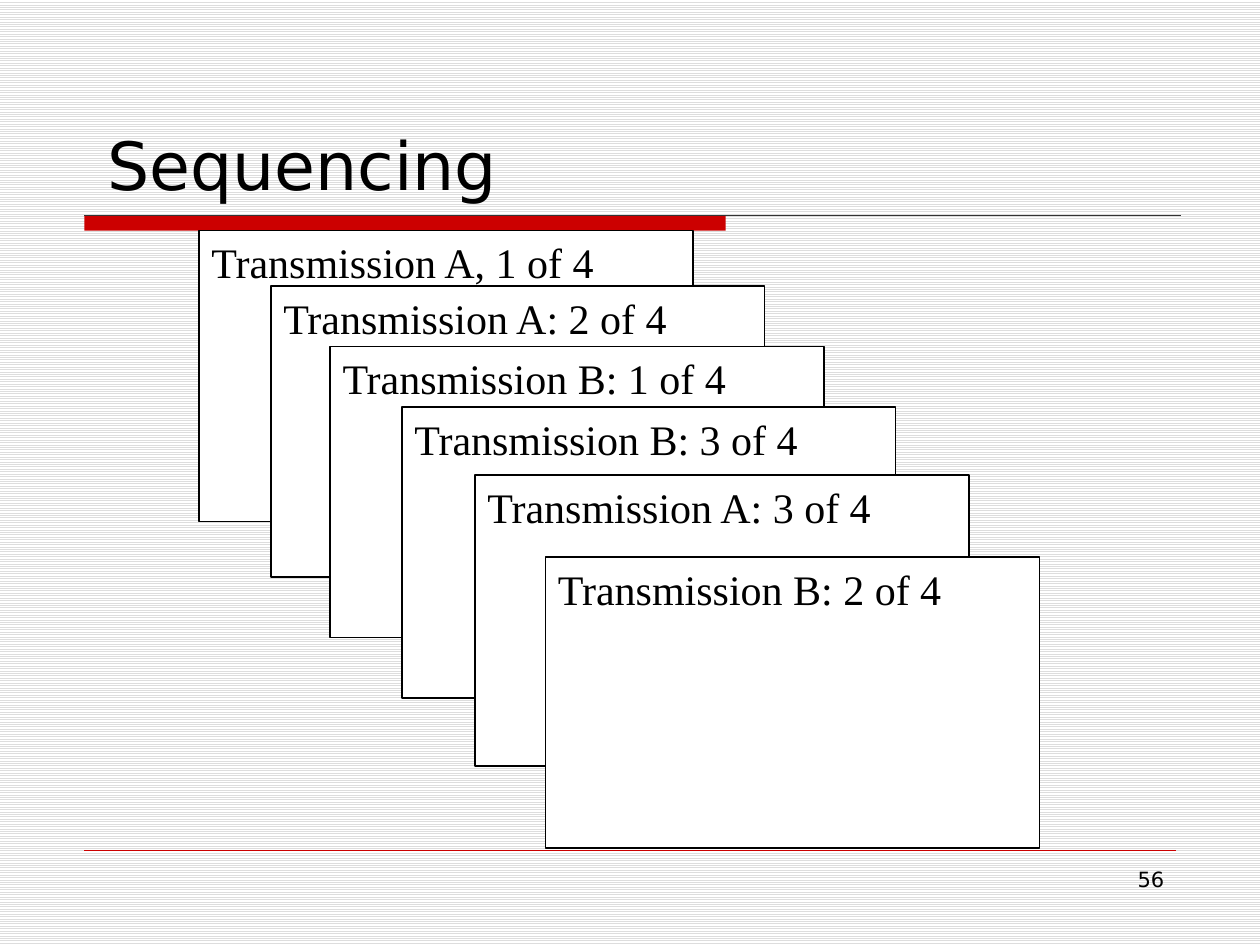
from lxml import etree
from pptx import Presentation
from pptx import util as u
from pptx.dml.color import RGBColor
from pptx.enum import dml, shapes, text

TITLE = "Sequencing"
NUMBER = "56"
CARDS = [
    ("Transmission A, 1 of 4", 1.58, 1.83),
    ("Transmission A: 2 of 4", 2.15, 2.27),
    ("Transmission B: 1 of 4", 2.62, 2.75),
    ("Transmission B: 3 of 4", 3.19, 3.23),
    ("Transmission A: 3 of 4", 3.77, 3.77),
    ("Transmission B: 2 of 4", 4.33, 4.42),
]
CARD_SIZE = (3.92, 2.31)
RULES = [(1.71, 9.37, "333333", 0.75), (6.75, 9.33, "CC0000", 0.25)]
LEFT = 0.67
SANS, SERIF = "DejaVu Sans", "Times New Roman"


def rgb(value):
    return RGBColor.from_string(value)


def inches(*values):
    return [u.Inches(v) for v in values]


def write(sp, content, font, size, align="LEFT", anchor="TOP"):
    tf = sp.text_frame
    frame = {
        "word_wrap": True,
        "auto_size": text.MSO_AUTO_SIZE.NONE,
        "vertical_anchor": text.MSO_ANCHOR[anchor],
    }
    for name, value in frame.items():
        setattr(tf, name, value)
    p = tf.paragraphs[0]
    p.alignment = text.PP_ALIGN[align]
    r = p.add_run()
    r.text = content
    for name, value in {"name": font, "size": u.Pt(size)}.items():
        setattr(r.font, name, value)
    r.font.color.rgb = rgb("000000")


def add_box(s, at, fill, line=None):
    sp = s.shapes.add_shape(shapes.MSO_SHAPE.RECTANGLE, *inches(*at))
    sp.shadow.inherit = False
    sp.fill.solid()
    sp.fill.fore_color.rgb = rgb(fill)
    if line:
        sp.line.color.rgb = rgb(line)
        sp.line.width = u.Pt(0.75)
    else:
        sp.line.fill.background()
    return sp


def add_rule(s, y, right, color, width):
    sp = s.shapes.add_connector(
        shapes.MSO_CONNECTOR.STRAIGHT, *inches(LEFT, y, right, y)
    )
    sp.line.color.rgb = rgb(color)
    sp.line.width = u.Pt(width)
    props = sp.line._get_or_add_ln().getparent()
    ns = "http://schemas.openxmlformats.org/drawingml/2006/main"
    etree.SubElement(props, f"{{{ns}}}effectLst")


def main():
    prs = Presentation()
    prs.slide_width, prs.slide_height = inches(10, 7.5)
    s = prs.slides.add_slide(prs.slide_layouts[5])

    fill = s.background.fill
    fill.patterned()
    fill.pattern = dml.MSO_PATTERN.LIGHT_HORIZONTAL
    fill.fore_color.rgb = rgb("DDDDDD")
    fill.back_color.rgb = rgb("FFFFFF")

    title = s.shapes.title
    title.left, title.top, title.width, title.height = inches(0.75, 0.42, 8.5, 1.25)
    write(title, TITLE, SANS, 38, anchor="BOTTOM")

    add_box(s, (LEFT, 1.71, 5.09, 0.12), "CC0000")
    for rule in RULES:
        add_rule(s, *rule)

    number = s.shapes.add_textbox(*inches(7.17, 6.83, 2.17, 0.52))
    write(number, NUMBER, SANS, 12, align="RIGHT")

    for label, x, y in CARDS:
        card = add_box(s, (x, y, *CARD_SIZE), "FFFFFF", "000000")
        write(card, label, SERIF, 24)

    prs.save("out.pptx")


if __name__ == "__main__":
    main()
